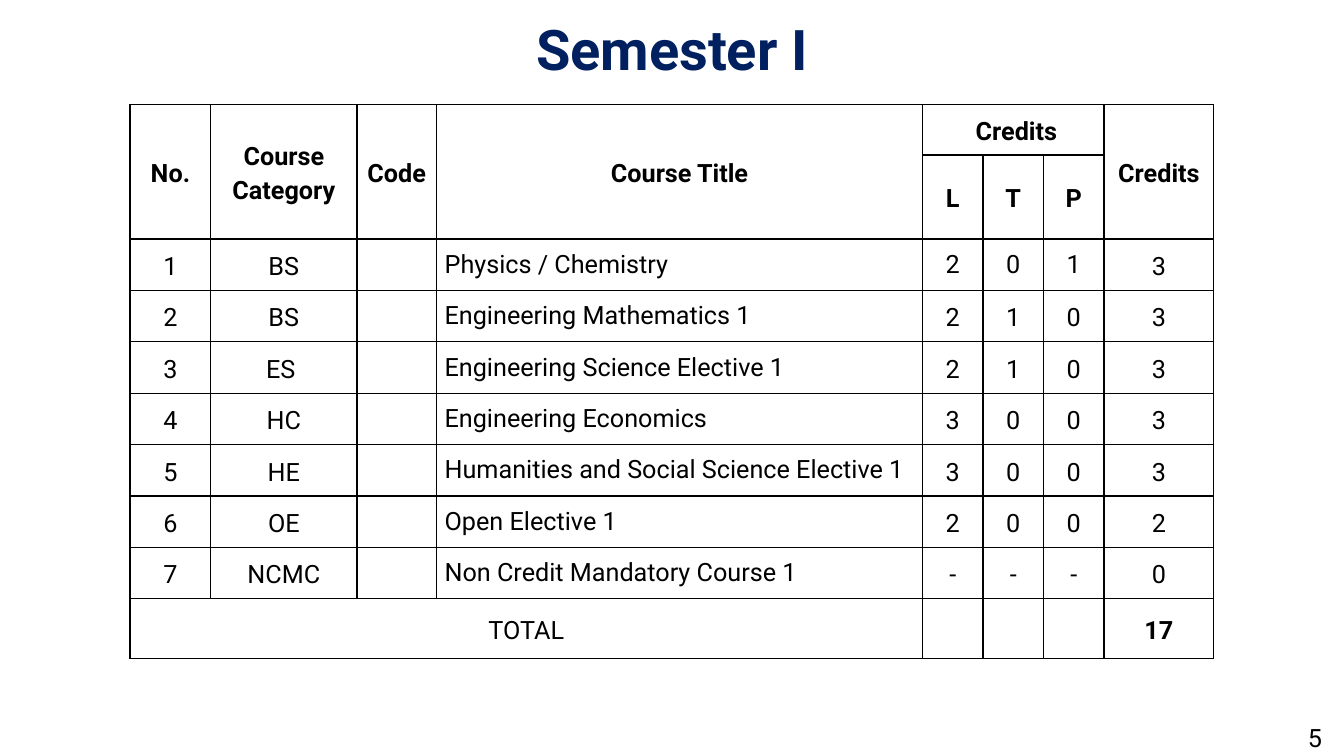
from dataclasses import dataclass

from lxml.etree import SubElement
from pptx import Presentation
from pptx.dml.color import RGBColor
from pptx.enum.text import MSO_ANCHOR, MSO_AUTO_SIZE, PP_ALIGN
from pptx.oxml.ns import qn
from pptx.util import Inches, Pt


@dataclass(frozen=True)
class Theme:
    font: str = "Roboto"
    heading: RGBColor = RGBColor(0x00, 0x20, 0x60)
    ink: RGBColor = RGBColor(0, 0, 0)
    paper: RGBColor = RGBColor(255, 255, 255)
    heading_size: int = 40
    text_size: int = 18
    border: float = 1


THEME = Theme()
COLUMN_WIDTHS = [0.8, 1.45, 0.79, 4.82, 0.6, 0.6, 0.6, 1.09]
ROW_HEIGHTS = [0.49, 0.83] + [0.51] * 7 + [0.59]
TITLE_COLUMN = 3
HEADER_ROWS = 2
ROWS = [
    ["No.", "Course Category", "Code", "Course Title", " Credits", "", "", "Credits"],
    ["", "", "", "", "L", "T", "P", ""],
    ["1", "BS", "", "Physics / Chemistry", "2", "0", "1", "3"],
    ["2", "BS", "", "Engineering Mathematics 1", "2", "1", "0", "3"],
    ["3", "ES ", "", "Engineering Science Elective 1", "2", "1", "0", "3"],
    ["4", "HC", "", "Engineering Economics", "3", "0", "0", "3"],
    ["5", "HE", "", "Humanities and Social Science Elective 1", "3", "0", "0", "3"],
    ["6", "OE", "", "Open Elective 1", "2", "0", "0", "2"],
    ["7", "NCMC", "", "Non Credit Mandatory Course 1", "-", "-", "-", "0"],
    ["TOTAL", "", "", "", "", "", "", "17"],
]
# First and last cell of each merged range
MERGES = [((0, column), (1, column)) for column in (0, 1, 2, 3, 7)]
MERGES += [((0, 4), (0, 6)), ((9, 0), (9, 3))]


def format_para(para, align, size=THEME.text_size, color=THEME.ink, bold=False, spacing=1.0):
    para.alignment = align
    para.line_spacing = spacing
    para.font.name = THEME.font
    para.font.size = Pt(size)
    para.font.bold = bold
    para.font.color.rgb = color


def add_borders(cell):
    properties = cell._tc.get_or_add_tcPr()
    for side in ("a:lnL", "a:lnR", "a:lnT", "a:lnB"):
        line = SubElement(properties, qn(side), w=str(Pt(THEME.border)))
        fill = SubElement(line, qn("a:solidFill"))
        SubElement(fill, qn("a:srgbClr"), val=str(THEME.ink))


def format_cell(cell, text, row, column):
    cell.margin_left = cell.margin_right = Inches(0.08)
    cell.margin_top = cell.margin_bottom = Inches(0.08)
    cell.vertical_anchor = MSO_ANCHOR.MIDDLE
    add_borders(cell)
    cell.fill.solid()
    cell.fill.fore_color.rgb = THEME.paper
    cell.text = text
    is_header = row < HEADER_ROWS
    is_course = column == TITLE_COLUMN and not is_header
    is_first_hours = row == HEADER_ROWS and column in (4, 5, 6)
    format_para(
        cell.text_frame.paragraphs[0],
        PP_ALIGN.LEFT if is_course else PP_ALIGN.CENTER,
        bold=is_header or text == "17",
        spacing=1.0 if is_course or is_first_hours else 1.15,
    )


def add_course_table(page):
    frame = page.shapes.add_table(
        len(ROWS), len(COLUMN_WIDTHS),
        Inches(1.29), Inches(1.04), Inches(sum(COLUMN_WIDTHS)), Inches(sum(ROW_HEIGHTS)),
    )
    table = frame.table
    table.first_row = table.horz_banding = False
    for column, width in zip(table.columns, COLUMN_WIDTHS):
        column.width = Inches(width)
    for row, height in zip(table.rows, ROW_HEIGHTS):
        row.height = Inches(height)
    for row, texts in enumerate(ROWS):
        for column, text in enumerate(texts):
            format_cell(table.cell(row, column), text, row, column)
    for first, last in MERGES:
        table.cell(*first).merge(table.cell(*last))


def set_title(page, text):
    title = page.shapes.title
    title.left, title.top = Inches(0), Inches(0)
    title.width, title.height = Inches(13.33), Inches(1.04)
    title.text = text
    title.text_frame.auto_size = MSO_AUTO_SIZE.NONE
    title.text_frame.vertical_anchor = MSO_ANCHOR.MIDDLE
    format_para(title.text_frame.paragraphs[0], PP_ALIGN.CENTER,
                THEME.heading_size, THEME.heading, bold=True, spacing=0.9)


def add_page_number(page, number):
    box = page.shapes.add_textbox(Inches(10.21), Inches(7.12), Inches(3), Inches(0.4))
    box.text_frame.word_wrap = True
    box.text_frame.text = number
    format_para(box.text_frame.paragraphs[0], PP_ALIGN.RIGHT)


def main():
    deck = Presentation()
    deck.slide_width, deck.slide_height = Inches(13.33), Inches(7.5)
    page = deck.slides.add_slide(deck.slide_layouts[5])
    add_course_table(page)
    set_title(page, "Semester I")
    add_page_number(page, "5")
    deck.save("out.pptx")


if __name__ == "__main__":
    main()
